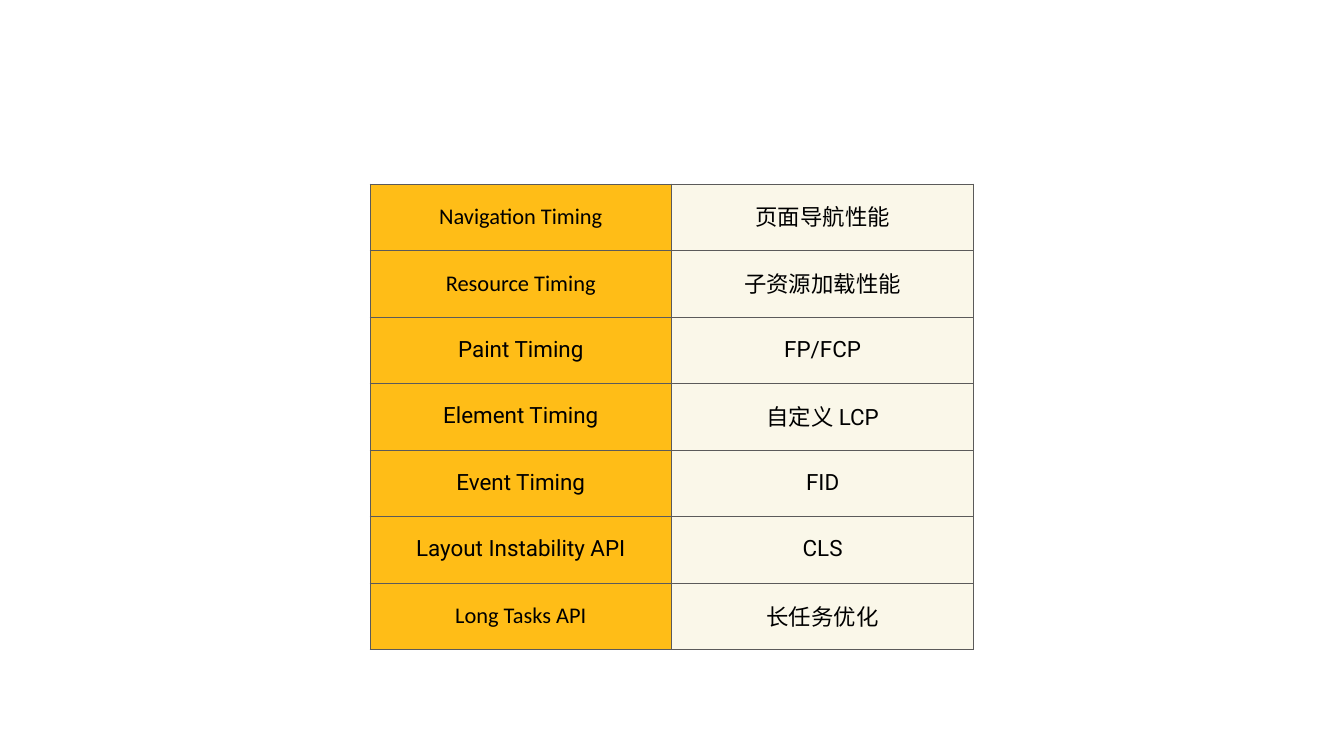
from dataclasses import dataclass

from lxml import etree
from pptx import Presentation
from pptx.dml.color import RGBColor
from pptx.enum.text import MSO_ANCHOR, PP_ALIGN
from pptx.oxml.ns import qn
from pptx.util import Inches, Pt

MIDDLE = MSO_ANCHOR.MIDDLE
CENTER = PP_ALIGN.CENTER

GOLD, CREAM, BLACK, GREY = "FFBD17", "FAF7E9", "000000", "5B5A5A"
COL_W, ROW_H, INSET = 5.99, 1.32, 0.06


@dataclass
class Metric:
    api: str
    use: str
    font: str = "Roboto"


METRICS = [
    Metric("Navigation Timing", "页面导航性能", "Calibri"),
    Metric("Resource Timing", "子资源加载性能", "Calibri"),
    Metric("Paint Timing", "FP/FCP"),
    Metric("Element Timing", "自定义 LCP"),
    Metric("Event Timing", "FID"),
    Metric("Layout Instability API", "CLS"),
    Metric("Long Tasks API", "长任务优化", "Calibri"),
]


def paint(target, color: str) -> None:
    target.rgb = RGBColor.from_string(color)


def add_border(cell, color: str, width: float) -> None:
    props = cell._tc.get_or_add_tcPr()
    for side in ("lnL", "lnR", "lnT", "lnB"):
        line = etree.SubElement(props, qn(f"a:{side}"), w=str(Pt(width)))
        fill = etree.SubElement(line, qn("a:solidFill"))
        etree.SubElement(fill, qn("a:srgbClr"), val=color)


def fill_cell(cell, text: str, font: str, color: str) -> None:
    # Borders come before the fill in the cell properties
    add_border(cell, GREY, 1)
    cell.fill.solid()
    paint(cell.fill.fore_color, color)
    cell.vertical_anchor = MIDDLE
    cell.margin_left = cell.margin_right = Inches(INSET)
    cell.margin_top = cell.margin_bottom = Inches(INSET)
    cell.text_frame.text = text
    para = cell.text_frame.paragraphs[0]
    para.alignment = CENTER
    para.line_spacing = 0.9
    run = para.runs[0]
    run.font.name = font
    run.font.size = Pt(32)
    paint(run.font.color, BLACK)


def add_grid(slide, metrics: list[Metric], left: float, top: float) -> None:
    count = len(metrics)
    frame = slide.shapes.add_table(
        count, 2, Inches(left), Inches(top),
        Inches(2 * COL_W), Inches(count * ROW_H))
    table = frame.table
    table.first_row = table.horz_banding = False
    for col in table.columns:
        col.width = Inches(COL_W)
    for row, metric in zip(table.rows, metrics):
        row.height = Inches(ROW_H)
        fill_cell(row.cells[0], metric.api, metric.font, GOLD)
        fill_cell(row.cells[1], metric.use, "Roboto", CREAM)


def main() -> None:
    deck = Presentation()
    deck.slide_width, deck.slide_height = Inches(26.67), Inches(15)
    slide = deck.slides.add_slide(deck.slide_layouts[6])

    # Table of timing APIs and what each one measures
    add_grid(slide, METRICS, 7.34, 3.65)
    deck.save("out.pptx")


if __name__ == "__main__":
    main()
